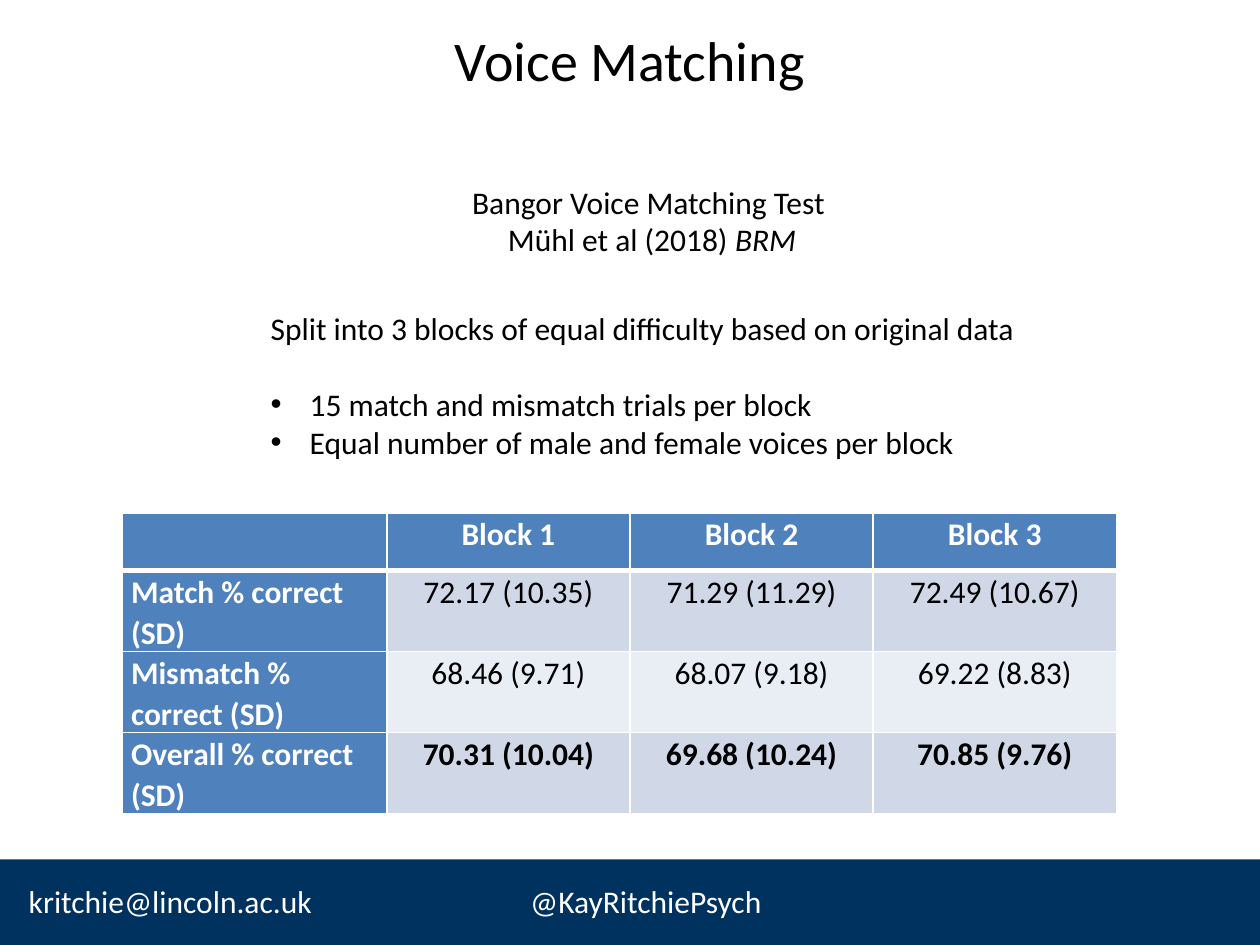
from dataclasses import dataclass

from lxml.etree import SubElement
from pptx import Presentation
from pptx.dml.color import RGBColor
from pptx.enum.shapes import MSO_SHAPE
from pptx.enum.text import MSO_ANCHOR, MSO_AUTO_SIZE, PP_ALIGN
from pptx.oxml import parse_xml
from pptx.oxml.ns import nsdecls, qn
from pptx.util import Inches, Pt


@dataclass(frozen=True)
class Theme:
    font: str = "Calibri"
    title_size: int = 32
    body_size: int = 18
    black: str = "000000"
    white: str = "FFFFFF"
    footer: str = "00325F"
    header: str = "4F81BD"
    bands: tuple = ("D0D8E8", "E9EDF4")


THEME = Theme()

TITLE = "Voice Matching"
CONTACTS = [
    ("kritchie@lincoln.ac.uk", (0.13, 6.95, 2.47, 0.4)),
    ("@KayRitchiePsych", (4.11, 6.95, 2.06, 0.4)),
]
# Each line is a list of (text, italic) runs.
SOURCE_LINES = [
    [("Bangor Voice Matching Test ", False)],
    [("Mühl et al (2018) ", False), ("BRM", True)],
]
DESIGN = "Split into 3 blocks of equal difficulty based on original data"
DESIGN_BULLETS = [
    "15 match and mismatch trials per block",
    "Equal number of male and female voices per block",
]
RESULTS = [
    ["", "Block 1", "Block 2", "Block 3"],
    ["Match % correct (SD)", "72.17 (10.35)", "71.29 (11.29)", "72.49 (10.67)"],
    ["Mismatch % correct (SD)", "68.46 (9.71)", "68.07 (9.18)", "69.22 (8.83)"],
    ["Overall % correct (SD)", "70.31 (10.04)", "69.68 (10.24)", "70.85 (9.76)"],
]
COLUMN_WIDTHS = [2.1, 1.93, 1.93, 1.93]
ROW_HEIGHT = 0.46
TABLE_BOX = (0.97, 4.07, sum(COLUMN_WIDTHS), 2.34)


def inches(box):
    return [Inches(value) for value in box]


def add_run(paragraph, text, color, size=THEME.body_size, bold=False, italic=False):
    run = paragraph.add_run()
    run.text = text
    font = run.font
    font.name, font.size = THEME.font, Pt(size)
    font.bold, font.italic = bold, italic
    font.color.rgb = RGBColor.from_string(color)


def add_text_frame(slide, box, wrap=False):
    frame = slide.shapes.add_textbox(*inches(box)).text_frame
    frame.word_wrap = wrap
    frame.auto_size = MSO_AUTO_SIZE.SHAPE_TO_FIT_TEXT
    return frame


def add_bullet(paragraph):
    properties = paragraph._p.get_or_add_pPr()
    properties.set("marL", str(Inches(0.31)))
    properties.set("indent", str(-Inches(0.31)))
    SubElement(properties, qn("a:buFont"), typeface="Arial")
    SubElement(properties, qn("a:buChar"), char="•")


def set_borders(cell, **widths):
    """Draw white borders 1 pt wide, except the sides (L, R, T, B) given in widths."""
    properties = cell._tc.get_or_add_tcPr()
    for position, side in enumerate("LRTB"):
        width = Pt(widths.get(side, 1))
        properties.insert(position, parse_xml(
            f'<a:ln{side} {nsdecls("a")} w="{width}"><a:solidFill>'
            f'<a:srgbClr val="{THEME.white}"/></a:solidFill></a:ln{side}>'))


def add_title(slide):
    title = slide.shapes.title
    title.left, title.top, title.width, title.height = inches((0.5, 0.04, 9, 0.85))
    title.text_frame.vertical_anchor = MSO_ANCHOR.MIDDLE
    paragraph = title.text_frame.paragraphs[0]
    paragraph.alignment = PP_ALIGN.CENTER
    add_run(paragraph, TITLE, THEME.black, THEME.title_size)


def add_footer(slide):
    bar = slide.shapes.add_shape(MSO_SHAPE.RECTANGLE, *inches((0, 6.82, 10, 0.68)))
    bar.shadow.inherit = False
    bar.fill.solid()
    bar.fill.fore_color.rgb = RGBColor.from_string(THEME.footer)
    bar.line.fill.background()
    for text, box in CONTACTS:
        add_run(add_text_frame(slide, box).paragraphs[0], text, THEME.white)


def add_source(slide):
    frame = add_text_frame(slide, (3.63, 1.4, 3.09, 0.71))
    for index, line in enumerate(SOURCE_LINES):
        paragraph = frame.add_paragraph() if index else frame.paragraphs[0]
        paragraph.alignment = PP_ALIGN.CENTER
        for text, italic in line:
            add_run(paragraph, text, THEME.black, italic=italic)


def add_design(slide):
    frame = add_text_frame(slide, (2.05, 2.4, 6.18, 1.31))
    add_run(frame.paragraphs[0], DESIGN, THEME.black)
    for index, text in enumerate(DESIGN_BULLETS):
        paragraph = frame.add_paragraph()
        paragraph.space_before = Pt(0 if index else 22)
        add_bullet(paragraph)
        add_run(paragraph, text, THEME.black)


def fill_cell(cell, text, row, column):
    is_header = row == 0 or column == 0
    is_total = row == len(RESULTS) - 1
    fill = THEME.header if is_header else THEME.bands[(row - 1) % 2]
    cell.fill.solid()
    cell.fill.fore_color.rgb = RGBColor.from_string(fill)
    set_borders(cell, **{0: {"B": 3}, 1: {"T": 3}}.get(row, {}))
    if not text:
        return
    cell.margin_left = cell.margin_right = Inches(0.07)
    cell.margin_top = cell.margin_bottom = 0
    paragraph = cell.text_frame.paragraphs[0]
    paragraph.alignment = PP_ALIGN.CENTER if column else PP_ALIGN.LEFT
    paragraph.line_spacing = 1.07
    paragraph.space_after = Pt(8)
    add_run(paragraph, text, THEME.white if is_header else THEME.black,
            bold=is_header or is_total)


def add_results(slide):
    frame = slide.shapes.add_table(len(RESULTS), len(COLUMN_WIDTHS), *inches(TABLE_BOX))
    table = frame.table
    table.first_col = True
    for column, width in zip(table.columns, COLUMN_WIDTHS):
        column.width = Inches(width)
    for row in table.rows:
        row.height = Inches(ROW_HEIGHT)
    frame.height = Inches(TABLE_BOX[3])
    for row, texts in enumerate(RESULTS):
        for column, text in enumerate(texts):
            fill_cell(table.cell(row, column), text, row, column)


def main():
    presentation = Presentation()
    presentation.slide_width, presentation.slide_height = Inches(10), Inches(7.5)
    slide = presentation.slides.add_slide(presentation.slide_layouts[5])
    add_footer(slide)
    add_title(slide)
    add_source(slide)
    add_design(slide)
    add_results(slide)
    presentation.save("out.pptx")


if __name__ == "__main__":
    main()
